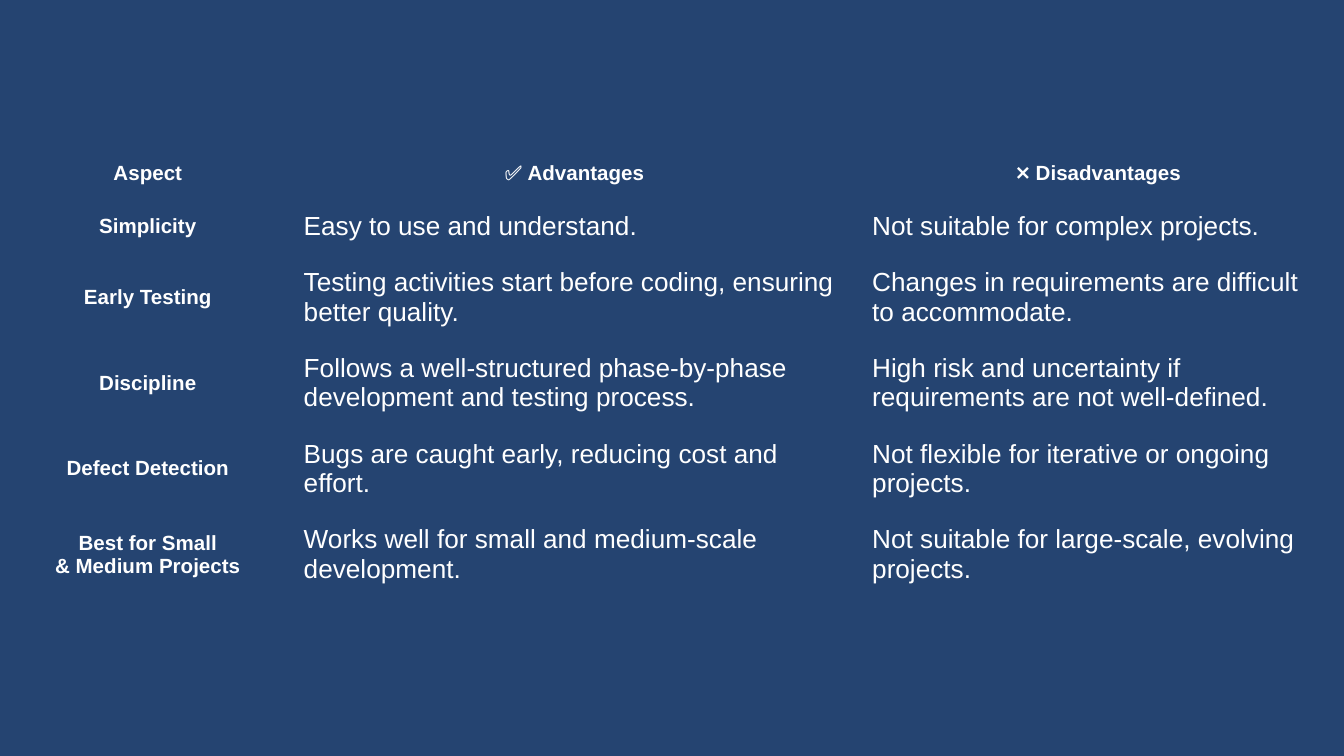
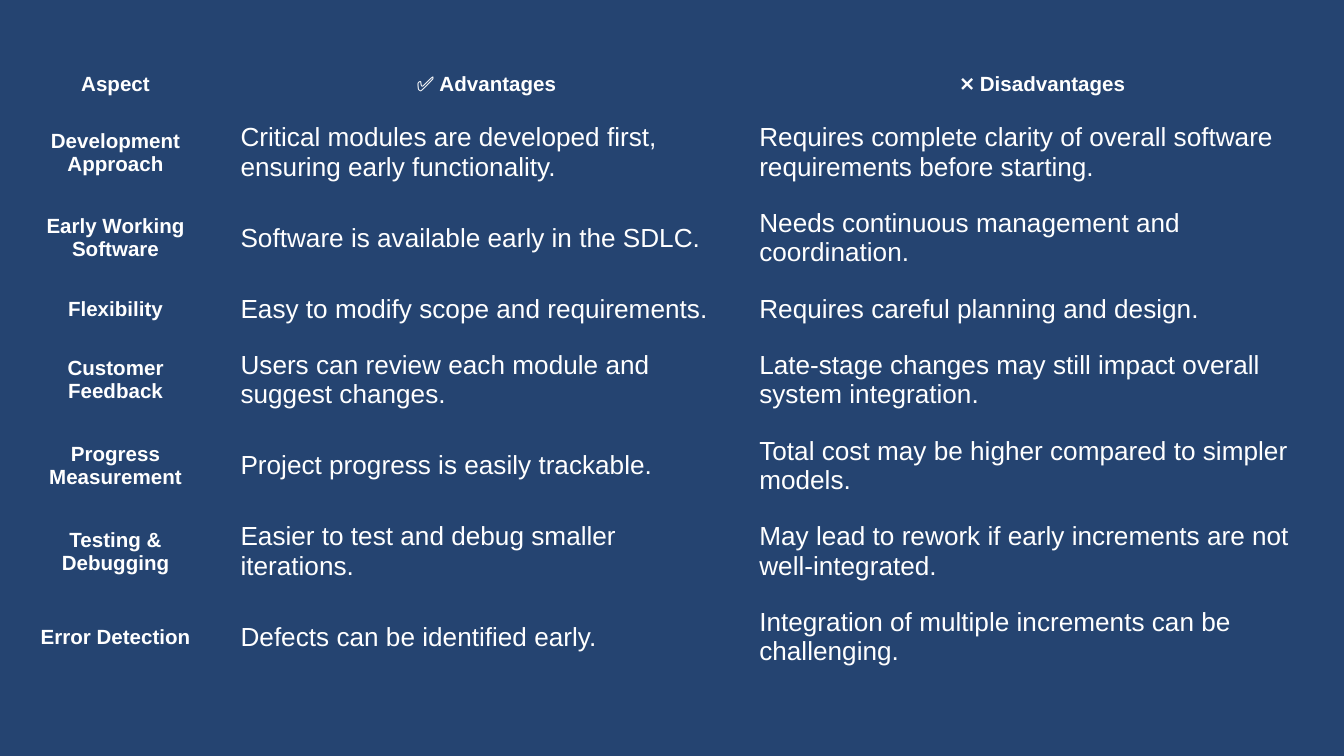
"""Build two slides that compare advantages and disadvantages in tables."""
from pptx import Presentation
from pptx.dml.color import RGBColor
from pptx.enum.text import MSO_ANCHOR, PP_ALIGN
from pptx.oxml.ns import qn
from pptx.util import Inches, Pt

NAVY = RGBColor(0x25, 0x44, 0x71)
WHITE = RGBColor(0xFF, 0xFF, 0xFF)
FONT = "Arial"
PLAIN_TABLE = "{2D5ABB26-0587-4C30-8999-92F81FD0307C}"
HEADER = ("Aspect", "✅ Advantages", "❌ Disadvantages")
HEADER_HEIGHT, SHORT, TALL = 0.25, 0.21, 0.41
FRAME_HEIGHT = 3.28

SEQUENTIAL_ROWS = [
    (SHORT, "Simplicity", "Easy to use and understand.",
     "Not suitable for complex projects."),
    (TALL, "Early Testing",
     "Testing activities start before coding, ensuring better quality.",
     "Changes in requirements are difficult to accommodate."),
    (TALL, "Discipline",
     "Follows a well-structured phase-by-phase development and testing process.",
     "High risk and uncertainty if requirements are not well-defined."),
    (SHORT, "Defect Detection",
     "Bugs are caught early, reducing cost and effort.",
     "Not flexible for iterative or ongoing projects."),
    (TALL, "Best for Small\n& Medium Projects",
     "Works well for small and medium-scale development.",
     "Not suitable for large-scale, evolving projects."),
]
INCREMENTAL_ROWS = [
    (TALL, "Development Approach",
     "Critical modules are developed first, ensuring early functionality.",
     "Requires complete clarity of overall software requirements before starting."),
    (TALL, "Early Working Software", "Software is available early in the SDLC.",
     "Needs continuous management and coordination."),
    (SHORT, "Flexibility", "Easy to modify scope and requirements.",
     "Requires careful planning and design."),
    (SHORT, "Customer Feedback",
     "Users can review each module and suggest changes.",
     "Late-stage changes may still impact overall system integration."),
    (TALL, "Progress Measurement", "Project progress is easily trackable.",
     "Total cost may be higher compared to simpler models."),
    (SHORT, "Testing & Debugging", "Easier to test and debug smaller iterations.",
     "May lead to rework if early increments are not well-integrated."),
    (SHORT, "Error Detection", "Defects can be identified early.",
     "Integration of multiple increments can be challenging."),
]


class ComparisonDeck:
    def __init__(self):
        self.deck = Presentation()
        self.deck.slide_width = Inches(10)
        self.deck.slide_height = Inches(10 * 9 / 16)
        self.page = None

    def add_page(self):
        self.page = self.deck.slides.add_slide(self.deck.slide_layouts[6])
        fill = self.page.background.fill
        fill.solid()
        fill.fore_color.rgb = NAVY

    def fill_cell(self, cell, text, is_label, is_header):
        cell.fill.background()
        cell.vertical_anchor = MSO_ANCHOR.MIDDLE
        cell.margin_left = cell.margin_right = Inches(0.1)
        cell.margin_top = cell.margin_bottom = Inches(0.1)
        cell.text_frame.text = text
        for para in cell.text_frame.paragraphs:
            para.alignment = PP_ALIGN.CENTER if is_label else PP_ALIGN.LEFT
            if is_header:
                para.line_spacing = 1.15
            for span in para.runs:
                span.font.name = FONT
                span.font.size = Pt(11 if is_label else 14)
                span.font.bold = is_label
                span.font.color.rgb = WHITE

    def add_comparison(self, left, top, widths, rows):
        lines = [(HEADER_HEIGHT, *HEADER), *rows]
        frame = self.page.shapes.add_table(
            len(lines), len(widths), Inches(left), Inches(top),
            Inches(sum(widths)), Inches(FRAME_HEIGHT))
        table = frame.table
        table.first_row = table.horz_banding = False
        table._tbl.tblPr.find(qn("a:tableStyleId")).text = PLAIN_TABLE
        for column, width in zip(table.columns, widths):
            column.width = Inches(width)
        for row_index, (height, *texts) in enumerate(lines):
            row = table.rows[row_index]
            row.height = Inches(height)
            is_header = row_index == 0
            for column_index, text in enumerate(texts):
                is_label = is_header or column_index == 0
                self.fill_cell(row.cells[column_index], text, is_label, is_header)
        frame.height = Inches(FRAME_HEIGHT)


def main():
    builder = ComparisonDeck()
    builder.add_page()
    builder.add_comparison(0.04, 1.08, (2.12, 4.23, 3.57), SEQUENTIAL_ROWS)
    builder.add_page()
    builder.add_comparison(0.03, 0.42, (1.66, 3.86, 4.42), INCREMENTAL_ROWS)
    builder.deck.save("out.pptx")


if __name__ == "__main__":
    main()
